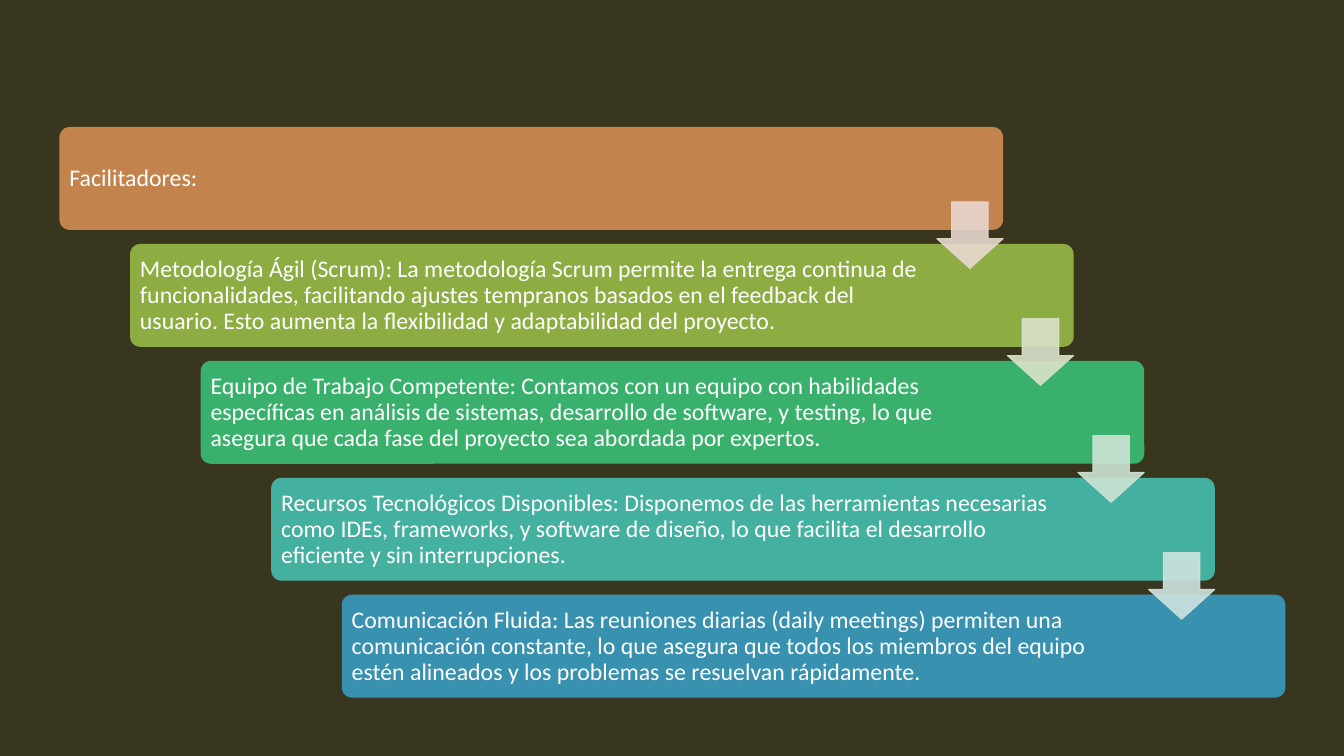
from lxml.etree import SubElement
from pptx import Presentation
from pptx.dml.color import RGBColor
from pptx.enum.shapes import MSO_SHAPE as Shape
from pptx.enum.text import MSO_ANCHOR as Anchor, PP_ALIGN as Align
from pptx.oxml.ns import qn
from pptx.util import Inches, Pt


def rgb(code):
    return RGBColor.from_string(code)


class Staircase:
    """Draws stepped cards on a slide, placed in columns and rows of a grid."""

    font, size, ink, background = "Calibri", 17, "FFFFFF", "393620"
    left, top, column, row = 0.59, 1.26, 0.7, 1.16
    inset, opacity = 0.07, 90

    def __init__(self, deck):
        self.slide = deck.slides.add_slide(deck.slide_layouts[6])
        backdrop = self.slide.background.fill
        backdrop.solid()
        backdrop.fore_color.rgb = rgb(self.background)

    def place(self, col, row, cols, rows):
        return (Inches(self.left + col * self.column), Inches(self.top + row * self.row),
                Inches(cols * self.column), Inches(rows * self.row))

    def block(self, kind, area, colour, adjustments):
        block = self.slide.shapes.add_shape(kind, *self.place(*area))
        block.shadow.inherit = False
        block.fill.solid()
        block.fill.fore_color.rgb = rgb(colour)
        block.line.fill.background()
        for index, value in enumerate(adjustments):
            block.adjustments[index] = value
        return block

    def card(self, step, colour):
        self.block(Shape.ROUNDED_RECTANGLE, (step, step, 13.37, 0.88), colour, [0.1])

    def label(self, step, wording, cols):
        area = self.place(step + 0.04, step + 0.03, cols, 0.83)
        frame = self.slide.shapes.add_textbox(*area).text_frame
        frame.word_wrap = True
        frame.vertical_anchor = Anchor.MIDDLE
        frame.margin_left = frame.margin_right = Inches(self.inset)
        frame.margin_top = frame.margin_bottom = Inches(self.inset)
        paragraph = frame.paragraphs[0]
        paragraph.alignment = Align.LEFT
        paragraph.line_spacing = 0.9
        run = paragraph.add_run()
        run.text = wording
        run.font.name = self.font
        run.font.size = Pt(self.size)
        run.font.color.rgb = rgb(self.ink)

    def arrow(self, step, colour):
        area = (step + 12.43, step + 0.64, 0.94, 0.57)
        arrow = self.block(Shape.DOWN_ARROW, area, colour, [0.55, 0.45])
        arrow.line.color.rgb = rgb(colour)
        arrow.line.width = Pt(0.75)
        for tint in arrow.element.spPr.iter(qn("a:srgbClr")):
            SubElement(tint, qn("a:alpha")).set("val", str(self.opacity * 1000))


FACILITATORS = [
    ("C2834C", 11.63, "Facilitadores:"),
    ("8DAC42", 11.34,
     "Metodología Ágil (Scrum): La metodología Scrum permite la entrega continua de "
     "funcionalidades, facilitando ajustes tempranos basados en el feedback del usuario. "
     "Esto aumenta la flexibilidad y adaptabilidad del proyecto."),
    ("39B06B", 11.34,
     "Equipo de Trabajo Competente: Contamos con un equipo con habilidades específicas en "
     "análisis de sistemas, desarrollo de software, y testing, lo que asegura que cada fase "
     "del proyecto sea abordada por expertos."),
    ("44B09F", 11.34,
     "Recursos Tecnológicos Disponibles: Disponemos de las herramientas necesarias como IDEs, "
     "frameworks, y software de diseño, lo que facilita el desarrollo eficiente y sin "
     "interrupciones."),
    ("3991B0", 11.34,
     "Comunicación Fluida: Las reuniones diarias (daily meetings) permiten una comunicación "
     "constante, lo que asegura que todos los miembros del equipo estén alineados y los "
     "problemas se resuelvan rápidamente."),
]
ARROW_COLOURS = ["E9D8CF", "DAE2CB", "CDE3D4", "CEE3DF"]


def main():
    deck = Presentation()
    deck.slide_width, deck.slide_height = Inches(13.33), Inches(7.5)
    stairs = Staircase(deck)
    for step, (colour, cols, wording) in enumerate(FACILITATORS):
        stairs.card(step, colour)
        stairs.label(step, wording, cols)
    for step, colour in enumerate(ARROW_COLOURS):
        stairs.arrow(step, colour)
    deck.save("out.pptx")


if __name__ == "__main__":
    main()
